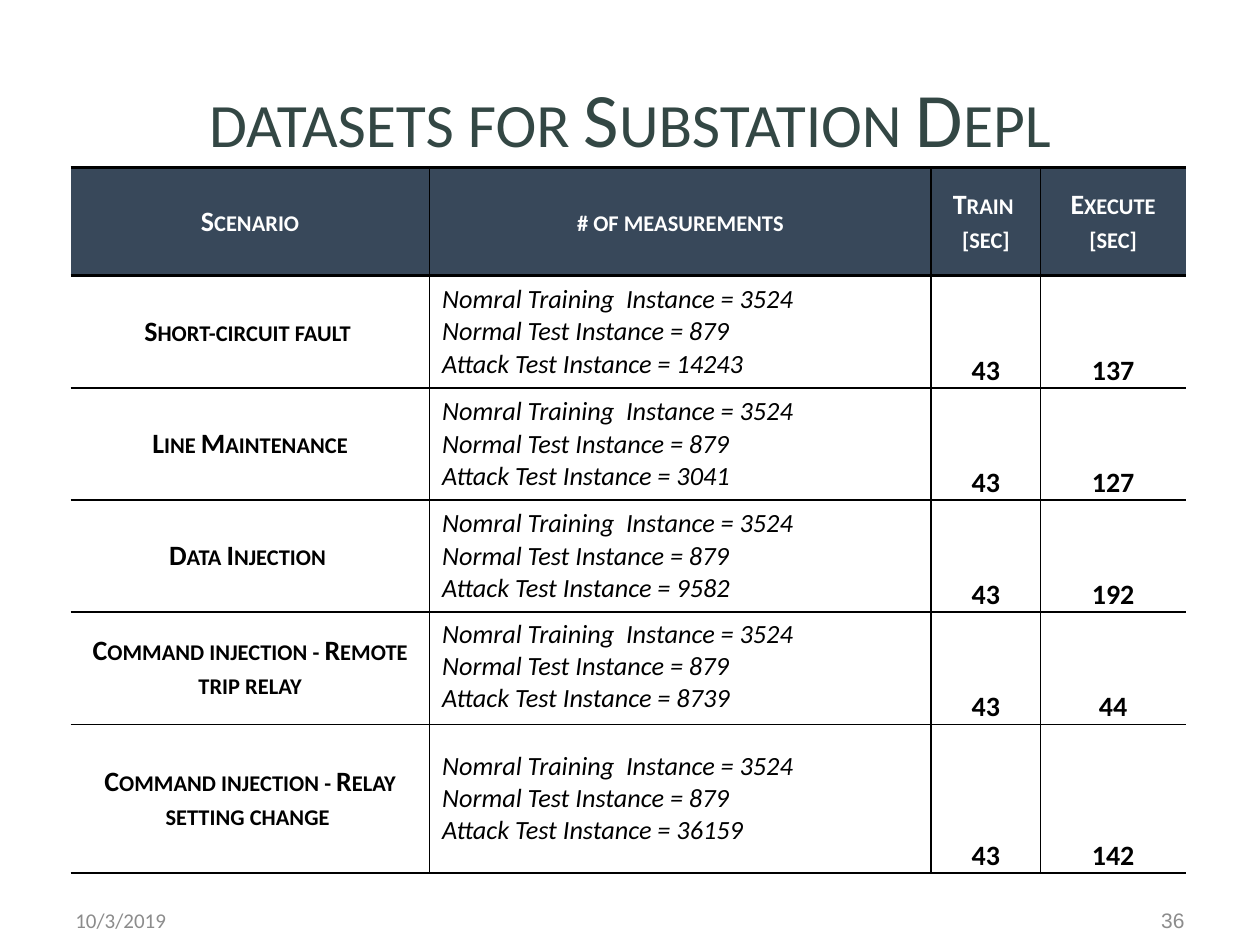
from dataclasses import dataclass

from lxml.etree import SubElement
from pptx import Presentation
from pptx.dml.color import RGBColor
from pptx.enum.text import MSO_ANCHOR, PP_ALIGN
from pptx.oxml import parse_xml
from pptx.oxml.ns import nsdecls, qn
from pptx.util import Inches, Pt


@dataclass(frozen=True)
class Theme:
    font: str = "Calibri"
    number_font: str = "Arial"
    title_color: str = "334744"
    header_fill: str = "38485A"
    header_text: str = "FFFFFF"
    body_text: str = "000000"
    border: str = "000000"
    footer_text: str = "8C8C8C"
    title_size: int = 44
    label_size: int = 16
    detail_size: int = 15
    footer_size: int = 12
    thin: int = 1
    thick: int = 2


THEME = Theme()
COLUMN_WIDTHS = [2.85, 3.98, 0.87, 1.15]
HEADER_HEIGHT = 0.86
ROW_HEIGHT = 0.89
LAST_ROW_HEIGHT = 1.18
HEADERS = ["Scenario", "# of measurements", "Train  [sec]", "Execute [sec]"]
TRAIN_SECONDS = 43
# Scenario, attack test instances, execution seconds
SCENARIOS = [
    ("Short-circuit fault ", 14243, 137),
    ("Line Maintenance", 3041, 127),
    ("Data Injection ", 9582, 192),
    ("Command injection - Remote trip relay", 8739, 44),
    ("Command injection - Relay setting change ", 36159, 142),
]


def write_lines(text_frame, lines, color, align, small_caps=False, **font_values):
    """Write one paragraph per line, all in the same format."""
    for index, line in enumerate(lines):
        paragraph = text_frame.paragraphs[0] if index == 0 else text_frame.add_paragraph()
        paragraph.alignment = align
        run = paragraph.add_run()
        run.text = line
        run.font.color.rgb = RGBColor.from_string(color)
        for name, value in {"name": THEME.font, **font_values}.items():
            setattr(run.font, name, value)
        if small_caps:
            run._r.get_or_add_rPr().set("cap", "small")


def set_borders(cell, widths):
    """Set left, right, top and bottom border widths in points; 0 hides a border."""
    properties = cell._tc.get_or_add_tcPr()
    for index, (side, width) in enumerate(zip("LRTB", widths)):
        line = parse_xml(f'<a:ln{side} {nsdecls("a")} w="{Pt(width)}"/>')
        if width:
            fill = SubElement(line, qn("a:solidFill"))
            SubElement(fill, qn("a:srgbClr"), val=THEME.border)
        else:
            SubElement(line, qn("a:noFill"))
        properties.insert(index, line)


def style_cell(cell, row, column):
    if row == 0:
        cell.fill.solid()
        cell.fill.fore_color.rgb = RGBColor.from_string(THEME.header_fill)
    else:
        cell.fill.background()
    set_borders(cell, (
        THEME.thin if column > 0 else 0,
        THEME.thin if column < len(HEADERS) - 1 else 0,
        THEME.thick if row <= 1 else THEME.thin,
        THEME.thick if row == 0 else THEME.thin,
    ))
    cell.vertical_anchor = MSO_ANCHOR.MIDDLE


def fill_label(cell, text, color, small_caps=True):
    write_lines(cell.text_frame, [text], color, PP_ALIGN.CENTER, small_caps,
                size=Pt(THEME.label_size), bold=True)


def fill_measurements(cell, attack_count):
    lines = [
        "Nomral Training  Instance = 3524",
        "Normal Test Instance = 879",
        f"Attack Test Instance = {attack_count}",
    ]
    write_lines(cell.text_frame, lines, THEME.body_text, PP_ALIGN.LEFT,
                size=Pt(THEME.detail_size), bold=False, italic=True)


def fill_seconds(cell, seconds):
    fill_label(cell, str(seconds), THEME.body_text, small_caps=False)
    cell.vertical_anchor = MSO_ANCHOR.BOTTOM
    cell.margin_left = cell.margin_right = cell.margin_top = Inches(0.01)
    cell.margin_bottom = 0


def add_title(slide, text):
    title = slide.shapes.title
    title.left, title.top = Inches(0.5), Inches(0.3)
    title.width, title.height = Inches(9), Inches(1.25)
    title.text_frame.vertical_anchor = MSO_ANCHOR.MIDDLE
    write_lines(title.text_frame, [text], THEME.title_color, PP_ALIGN.CENTER,
                small_caps=True, size=Pt(THEME.title_size))


def add_scenario_table(slide):
    heights = [HEADER_HEIGHT] + [ROW_HEIGHT] * (len(SCENARIOS) - 1) + [LAST_ROW_HEIGHT]
    table = slide.shapes.add_table(
        len(heights), len(COLUMN_WIDTHS), Inches(0.56), Inches(1.33),
        Inches(sum(COLUMN_WIDTHS)), Inches(sum(heights))).table
    table.horz_banding = False
    for column, width in zip(table.columns, COLUMN_WIDTHS):
        column.width = Inches(width)
    for row, height in zip(table.rows, heights):
        row.height = Inches(height)
    for row in range(len(heights)):
        for column in range(len(COLUMN_WIDTHS)):
            style_cell(table.cell(row, column), row, column)
    for column, header in enumerate(HEADERS):
        fill_label(table.cell(0, column), header, THEME.header_text)
    for row, (scenario, attack_count, execute_seconds) in enumerate(SCENARIOS, start=1):
        fill_label(table.cell(row, 0), scenario, THEME.body_text)
        fill_measurements(table.cell(row, 1), attack_count)
        fill_seconds(table.cell(row, 2), TRAIN_SECONDS)
        fill_seconds(table.cell(row, 3), execute_seconds)
    # The fourth scenario keeps its measurements at the top of the cell
    table.cell(4, 1).vertical_anchor = MSO_ANCHOR.TOP


def add_footer(slide, left, text, align, font):
    box = slide.shapes.add_textbox(Inches(left), Inches(7.1), Inches(2.33), Inches(0.4))
    box.text_frame.word_wrap = True
    box.text_frame.vertical_anchor = MSO_ANCHOR.MIDDLE
    write_lines(box.text_frame, [text], THEME.footer_text, align,
                name=font, size=Pt(THEME.footer_size))


def main():
    presentation = Presentation()
    presentation.slide_width, presentation.slide_height = Inches(10), Inches(7.5)
    slide = presentation.slides.add_slide(presentation.slide_layouts[5])
    add_title(slide, "datasets for Substation Depl")
    add_scenario_table(slide)
    add_footer(slide, 0.5, "10/3/2019", PP_ALIGN.LEFT, THEME.font)
    add_footer(slide, 7.17, "36", PP_ALIGN.RIGHT, THEME.number_font)
    presentation.save("out.pptx")


if __name__ == "__main__":
    main()
